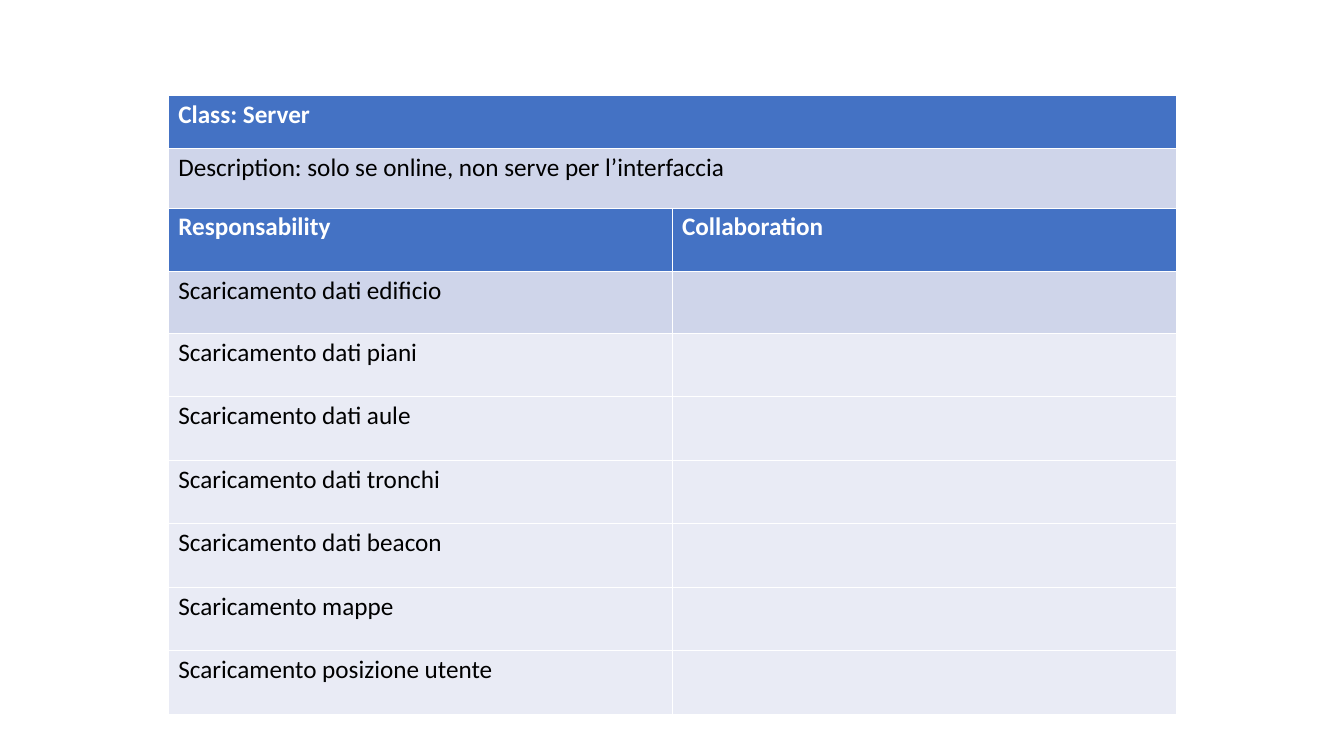
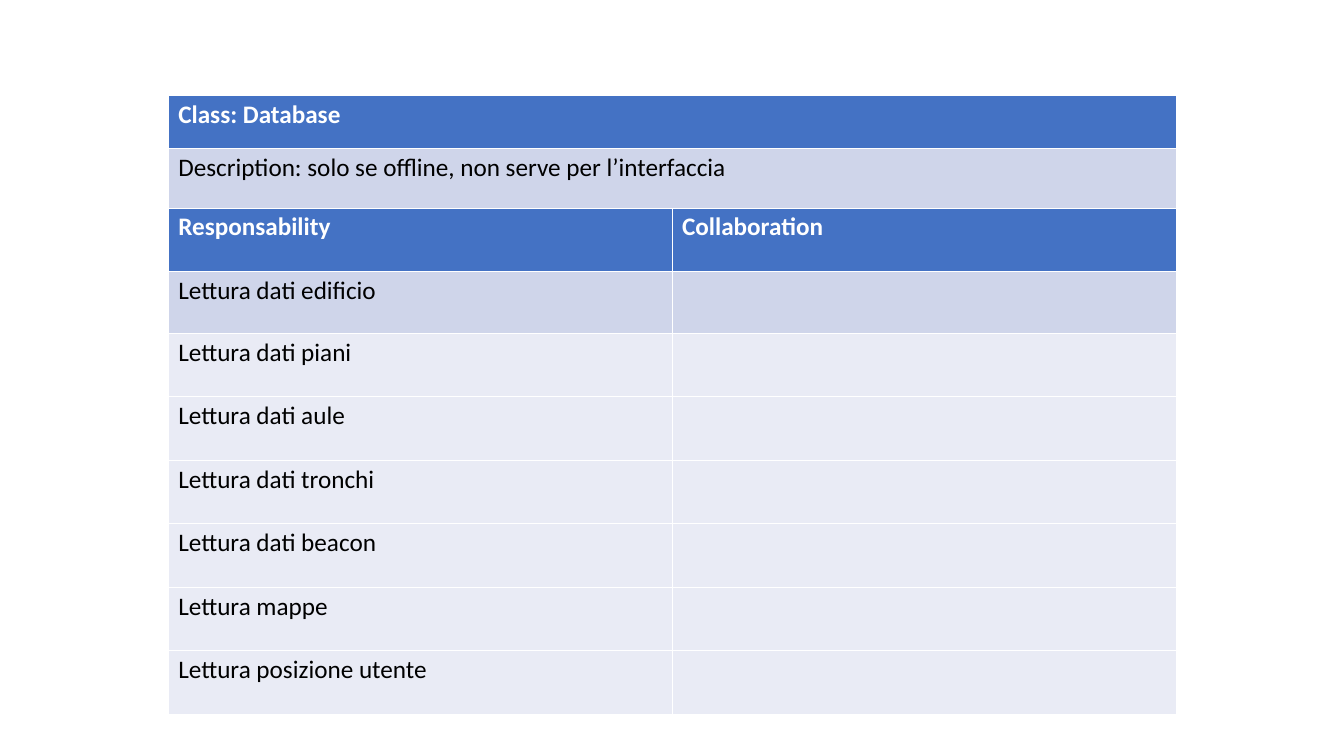
from lxml.etree import SubElement
from pptx import Presentation
from pptx.dml.color import RGBColor
from pptx.oxml.ns import qn
from pptx.util import Inches, Pt

COLORS = {
    "heading": "4472C4",
    "lead": "CFD5EA",
    "row": "E9EBF5",
    "line": "FFFFFF",
    "heading_text": "FFFFFF",
    "text": "000000",
}
FONT = "Calibri"
LEFT, WIDTH = 1.67, 10
THIN, THICK = Pt(0.11), Pt(0.34)

SUBJECTS = ["dati edificio", "dati piani", "dati aule", "dati tronchi",
            "dati beacon", "mappe", "posizione utente"]
CARDS = [
    ("Server", "online", "Scaricamento"),
    ("Database", "offline", "Lettura"),
]


def style_cell(cell, text, row):
    """Row 0 is the heading, row 1 the darker lead row, the rest are plain."""
    properties = cell._tc.get_or_add_tcPr()
    widths = {
        "lnL": THIN,
        "lnR": THIN,
        "lnT": THICK if row == 1 else THIN,
        "lnB": THICK if row == 0 else THIN,
    }
    for side, width in widths.items():
        line = SubElement(properties, qn(f"a:{side}"), w=str(int(width)))
        line_fill = SubElement(line, qn("a:solidFill"))
        SubElement(line_fill, qn("a:srgbClr"), val=COLORS["line"])

    fill_name = ("heading", "lead", "row")[min(row, 2)]
    cell.fill.solid()
    cell.fill.fore_color.rgb = RGBColor.from_string(COLORS[fill_name])

    paragraph = cell.text_frame.paragraphs[0]
    paragraph.line_spacing = 0.96
    paragraph.font.size = Pt(18)
    if text:
        run = paragraph.add_run()
        run.text = text
        run.font.name = FONT
        run.font.size = Pt(18)
        run.font.bold = row == 0
        text_name = "heading_text" if row == 0 else "text"
        run.font.color.rgb = RGBColor.from_string(COLORS[text_name])


def add_card_table(slide, top, heights, rows):
    column_count = len(rows[0])
    table = slide.shapes.add_table(
        len(rows), column_count, Inches(LEFT), Inches(top),
        Inches(WIDTH), Inches(sum(heights))).table
    table.first_row = False
    table.horz_banding = False
    for column in table.columns:
        column.width = Inches(WIDTH / column_count)
    for row, (height, texts) in enumerate(zip(heights, rows)):
        table.rows[row].height = Inches(height)
        for column, text in enumerate(texts):
            style_cell(table.cell(row, column), text, row)


deck = Presentation()
deck.slide_width = Inches(13.34)
deck.slide_height = Inches(7.5)

for class_name, mode, action in CARDS:
    slide = deck.slides.add_slide(deck.slide_layouts[6])

    duties = [("Responsability", "Collaboration")]
    duties += [(f"{action} {subject}", "") for subject in SUBJECTS]
    add_card_table(slide, 2.05, [0.64, 0.61] + [0.63] * 6, duties)

    summary = [
        (f"Class: {class_name}",),
        (f"Description: solo se {mode}, non serve per l’interfaccia",),
    ]
    add_card_table(slide, 0.94, [0.53, 0.59], summary)

deck.save("out.pptx")
